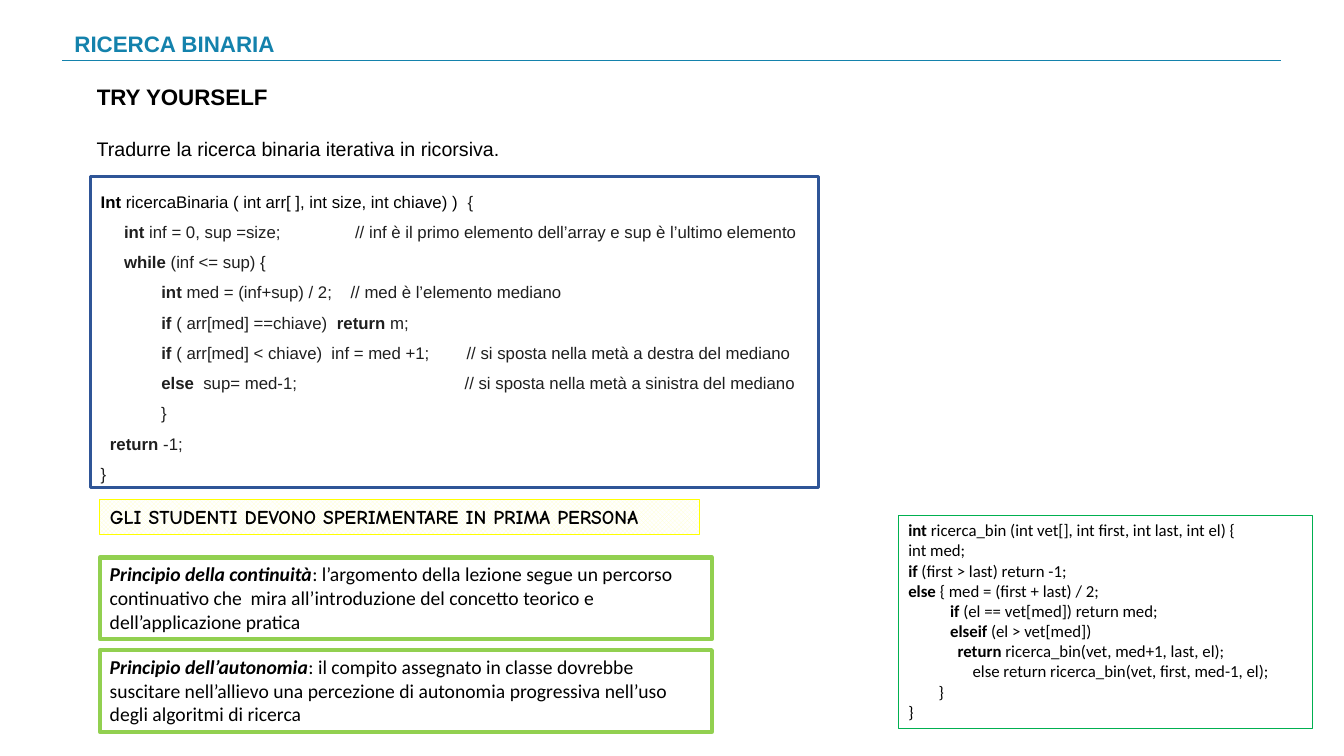
from lxml import etree
from pptx import Presentation
from pptx.dml.color import RGBColor
from pptx.enum import dml, shapes, text
from pptx.oxml import ns
from pptx.util import Inches, Pt

# Content: ** switches bold on and off
SECTION = "RICERCA BINARIA"
TITLE = "TRY YOURSELF"
TASK = "Tradurre la ricerca binaria iterativa in ricorsiva."
ITERATIVE = [
    "**Int **ricercaBinaria ( int arr[ ], int size, int chiave) )  ****{",
    "     **int** inf = 0, sup =size;                // inf è il primo elemento dell’array e sup è l’ultimo elemento",
    "     **while** (inf <= sup) {",
    "             **int** med = (inf+sup) / 2;    // med è l’elemento mediano",
    "             **if** ( arr[med] ==chiave)  **return** m;",
    "             **if** ( arr[med] < chiave)  inf = med +1;        // si sposta nella metà a destra del mediano",
    "             **else**  sup= med-1;                                    // si sposta nella metà a sinistra del mediano",
    "             }",
    "  **return** -1;",
    "}",
]
RECURSIVE = [
    "**int **ricerca_bin (int vet[], int first, int last, int el) {",
    "int med;",
    "**if** (first > last) return -1;",
    "**else** { med = (first + last) / 2;",
    "           **if** (el == vet[med]) return med;",
    "           **elseif** (el > vet[med])",
    "             **return **ricerca_bin(vet, med+1, last, el);",
    "                 else return ricerca_bin(vet, first, med-1, el);",
    "        }",
    "}",
]
BANNER = "**GLI STUDENTI DEVONO SPERIMENTARE IN PRIMA PERSONA**"
PRINCIPLES = [
    "**Principio della continuità**: l’argomento della lezione segue un percorso continuativo che  mira "
    "all’introduzione del concetto teorico e dell’applicazione pratica",
    "**Principio dell’autonomia**: il compito assegnato in classe dovrebbe suscitare nell’allievo una "
    "percezione di autonomia progressiva nell’uso degli algoritmi di ricerca",
]

BLACK = RGBColor(0x00, 0x00, 0x00)
CODE_GREY = RGBColor(0x1F, 0x1F, 0x1F)
TEAL = RGBColor(0x14, 0x82, 0xAC)
BLUE = RGBColor(0x2F, 0x55, 0x97)
GREEN = RGBColor(0x00, 0xB0, 0x50)
LIME = RGBColor(0x92, 0xD0, 0x50)
YELLOW = RGBColor(0xFF, 0xFF, 0x00)
CREAM = RGBColor(0xFF, 0xFF, 0xCC)
WHITE = RGBColor(0xFF, 0xFF, 0xFF)

# Shared positions in inches
TEXT_LEFT = 0.86
NOTE_LEFT = 0.99
PRINCIPLE_TOP, PRINCIPLE_HEIGHT, PRINCIPLE_STEP = 5.53, 0.81, 0.92

presentation = Presentation()
presentation.slide_width, presentation.slide_height = Inches(13.33), Inches(7.5)
slide = presentation.slides.add_slide(presentation.slide_layouts[5])


def write(shape, lines, size=14, font="Arial", color=BLACK, spacing=None,
          italic_lead=False, anchor=text.MSO_ANCHOR.TOP,
          fit=text.MSO_AUTO_SIZE.SHAPE_TO_FIT_TEXT):
    """Fill a shape with lines; every second part of a line is bold."""
    frame = shape.text_frame
    frame.word_wrap, frame.auto_size, frame.vertical_anchor = True, fit, anchor
    for index, line in enumerate(lines):
        paragraph = frame.add_paragraph() if index else frame.paragraphs[0]
        paragraph.alignment = text.PP_ALIGN.LEFT
        if spacing:
            paragraph.line_spacing = spacing
        for part_index, part in enumerate(line.split("**")):
            if part:
                run = paragraph.add_run()
                run.text = part
                run.font.name, run.font.size = font, Pt(size)
                run.font.color.rgb = color
                run.font.bold = part_index % 2 == 1
                run.font.italic = italic_lead and run.font.bold
    return shape


def add_text(box, lines, **style):
    return write(slide.shapes.add_textbox(*map(Inches, box)), lines, **style)


def add_frame(box, lines, line_color, line_width, **style):
    shape = slide.shapes.add_shape(shapes.MSO_SHAPE.RECTANGLE, *map(Inches, box))
    shape.shadow.inherit = False
    shape.fill.background()
    shape.line.color.rgb = line_color
    shape.line.width = Pt(line_width)
    return write(shape, lines, **style)


# Title placeholder
title = slide.shapes.title
title.left, title.top, title.width, title.height = map(Inches, (TEXT_LEFT, 0.72, 1.93, 0.5))
write(title, [f"**{TITLE}**"], size=16, spacing=0.9,
      anchor=text.MSO_ANCHOR.MIDDLE, fit=text.MSO_AUTO_SIZE.NONE)

# Section heading with its rule
rule = slide.shapes.add_connector(shapes.MSO_CONNECTOR.STRAIGHT,
                                  *map(Inches, (0.62, 0.6, 12.71, 0.6)))
rule.line.color.rgb = TEAL
rule.line.width = Pt(0.5)
etree.SubElement(rule._element.spPr, ns.qn("a:effectLst"))
add_text((0.64, 0.25, 4.4, 0.37), [f"**{SECTION}**"], size=16, color=TEAL)

# Task and iterative code, whose signature is black up to the brace
add_text((TEXT_LEFT, 1.31, 6.66, 0.34), [TASK])
iterative = add_frame((0.9, 1.75, 7.22, 3.09), ITERATIVE, BLUE, 2.25,
                      size=12, color=CODE_GREY, spacing=1.5)
for run in iterative.text_frame.paragraphs[0].runs[:2]:
    run.font.color.rgb = BLACK

# Recursive solution
add_frame((8.91, 5.11, 4.11, 2.12), RECURSIVE, GREEN, 0.75, size=12, font="Calibri")

# Banner
banner = add_frame((NOTE_LEFT, 4.96, 5.95, 0.34), [BANNER], YELLOW, 0.75, font="Comic Neue")
banner.fill.patterned()
banner.fill.pattern = dml.MSO_PATTERN.TRELLIS
banner.fill.fore_color.rgb = CREAM
banner.fill.back_color.rgb = WHITE

# Teaching principles
for row, principle in enumerate(PRINCIPLES):
    top = PRINCIPLE_TOP + row * PRINCIPLE_STEP
    add_frame((NOTE_LEFT, top, 6.07, PRINCIPLE_HEIGHT), [principle], LIME, 3,
              font="Calibri", italic_lead=True)

presentation.save("out.pptx")
